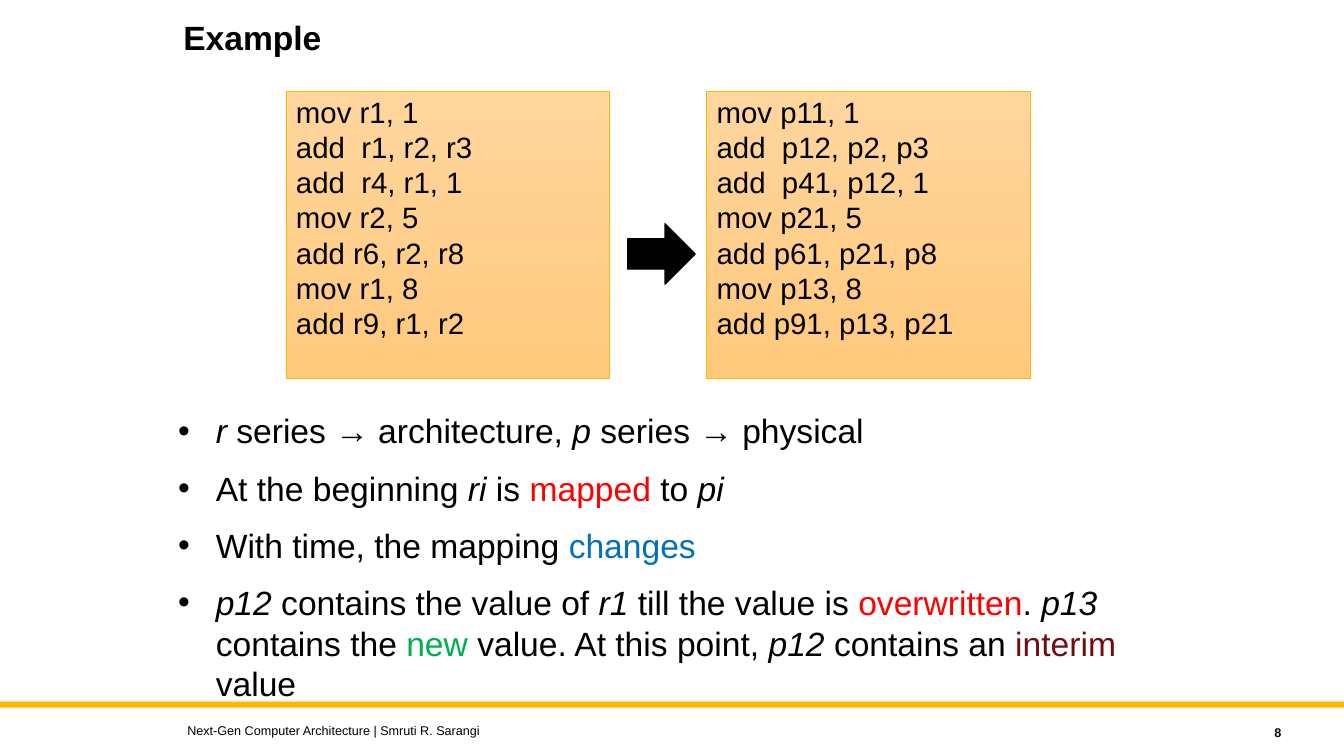
from pptx import Presentation
from pptx.dml.color import RGBColor
from pptx.enum.shapes import MSO_SHAPE
from pptx.enum.text import MSO_ANCHOR, PP_ALIGN
from pptx.oxml import parse_xml
from pptx.oxml.ns import nsdecls
from pptx.util import Cm, Pt

RECT, ARROW = MSO_SHAPE.RECTANGLE, MSO_SHAPE.RIGHT_ARROW
TOP, MIDDLE = MSO_ANCHOR.TOP, MSO_ANCHOR.MIDDLE
LEFT, RIGHT = PP_ALIGN.LEFT, PP_ALIGN.RIGHT
BLACK, AMBER = "000000", "FFB600"
RED, BLUE, GREEN, MAROON = "FF0000", "0070C0", "00B050", "710D11"


def rgb(value):
    return RGBColor.from_string(value)


def add_run(p, text, size, color=BLACK, bold=False, italic=False):
    r = p.add_run()
    r.text = text
    r.font.name = "Arial"
    r.font.size = Pt(size)
    r.font.color.rgb = rgb(color)
    r.font.bold = bold
    r.font.italic = italic


prs = Presentation()
prs.slide_width, prs.slide_height = Cm(33.87), Cm(19.05)
s = prs.slides.add_slide(prs.slide_layouts[6])

labels = [
    ("Example", 4.37, 0.41, 21.89, 2.77, 24, True, LEFT, TOP, 0.9),
    ("8", 28.98, 18.14, 3.56, 0.64, 9, True, RIGHT, MIDDLE, 1.0),
    ("Next-Gen Computer Architecture | Smruti R. Sarangi",
     4.47, 18.08, 20.32, 0.64, 9, False, LEFT, MIDDLE, 1.0),
]
for text, x, y, w, h, size, bold, align, anchor, spacing in labels:
    tf = s.shapes.add_textbox(Cm(x), Cm(y), Cm(w), Cm(h)).text_frame
    tf.word_wrap = True
    tf.vertical_anchor = anchor
    p = tf.paragraphs[0]
    p.alignment = align
    p.line_spacing = spacing
    add_run(p, text, size, bold=bold)

architectural = ["mov r1, 1", "add  r1, r2, r3", "add  r4, r1, 1", "mov r2, 5",
                 "add r6, r2, r8", "mov r1, 8", "add r9, r1, r2"]
physical = ["mov p11, 1", "add  p12, p2, p3", "add  p41, p12, 1", "mov p21, 5",
            "add p61, p21, p8", "mov p13, 8", "add p91, p13, p21"]
for x, code in [(7.21, architectural), (17.81, physical)]:
    sp = s.shapes.add_shape(RECT, Cm(x), Cm(2.31), Cm(8.15), Cm(7.22))
    sp.shadow.inherit = False
    sp.fill.gradient()
    sp.fill.gradient_angle = 270
    for stop, color in zip(sp.fill.gradient_stops, ("FFD69E", "FFC97C")):
        stop.color.rgb = rgb(color)
    sp.line.color.rgb = rgb(AMBER)
    sp.line.width = Pt(0.5)
    tf = sp.text_frame
    tf.word_wrap = True
    tf.vertical_anchor = TOP
    tf.margin_top = Cm(0.05)
    for i, line in enumerate(code):
        p = tf.add_paragraph() if i else tf.paragraphs[0]
        p.alignment = LEFT
        p.line_spacing = Pt(25.2)
        add_run(p, line, 21)

solids = [
    (ARROW, 15.82, 5.64, 1.7, 1.52, BLACK),
    (RECT, 0, 17.68, 33.87, 0.15, AMBER),
]
for kind, x, y, w, h, color in solids:
    sp = s.shapes.add_shape(kind, Cm(x), Cm(y), Cm(w), Cm(h))
    sp.shadow.inherit = False
    sp.fill.solid()
    sp.fill.fore_color.rgb = rgb(color)
    if kind == ARROW:
        sp.line.color.rgb = rgb(color)
        sp.line.width = Pt(1)
    else:
        sp.line.fill.background()

ITALIC = "italic"
bullets = [
    [("r", ITALIC), (" series → architecture, ", BLACK), ("p", ITALIC),
     (" series → physical", BLACK)],
    [("At the beginning ", BLACK), ("ri", ITALIC), (" is ", BLACK),
     ("mapped", RED), (" to ", BLACK), ("pi", ITALIC)],
    [("With time, the mapping ", BLACK), ("changes", BLUE)],
    [("p12 ", ITALIC), ("contains the value of ", BLACK), ("r1", ITALIC),
     (" till the value is ", BLACK), ("overwritten", RED), (". ", BLACK),
     ("p13 ", ITALIC), ("contains the ", BLACK), ("new", GREEN),
     (" value. At this point, ", BLACK), ("p12", ITALIC),
     (" contains an ", BLACK), ("interim", MAROON), (" value", BLACK)],
]
tf = s.shapes.add_textbox(Cm(4.24), Cm(10.21), Cm(24.99), Cm(6.53)).text_frame
tf.word_wrap = True
for i, runs in enumerate(bullets):
    p = tf.add_paragraph() if i else tf.paragraphs[0]
    pPr = p._p.get_or_add_pPr()
    pPr.set("marL", str(Cm(0.95)))
    pPr.set("indent", str(-Cm(0.95)))
    pPr.append(parse_xml(f'<a:buFont {nsdecls("a")} typeface="Arial"/>'))
    pPr.append(parse_xml(f'<a:buChar {nsdecls("a")} char="•"/>'))
    p.line_spacing = Pt(28.9)
    if i:
        p.space_before = Pt(12)
    for text, style in runs:
        italic = style == ITALIC
        add_run(p, text, 24, BLACK if italic else style, italic=italic)

prs.save("out.pptx")
